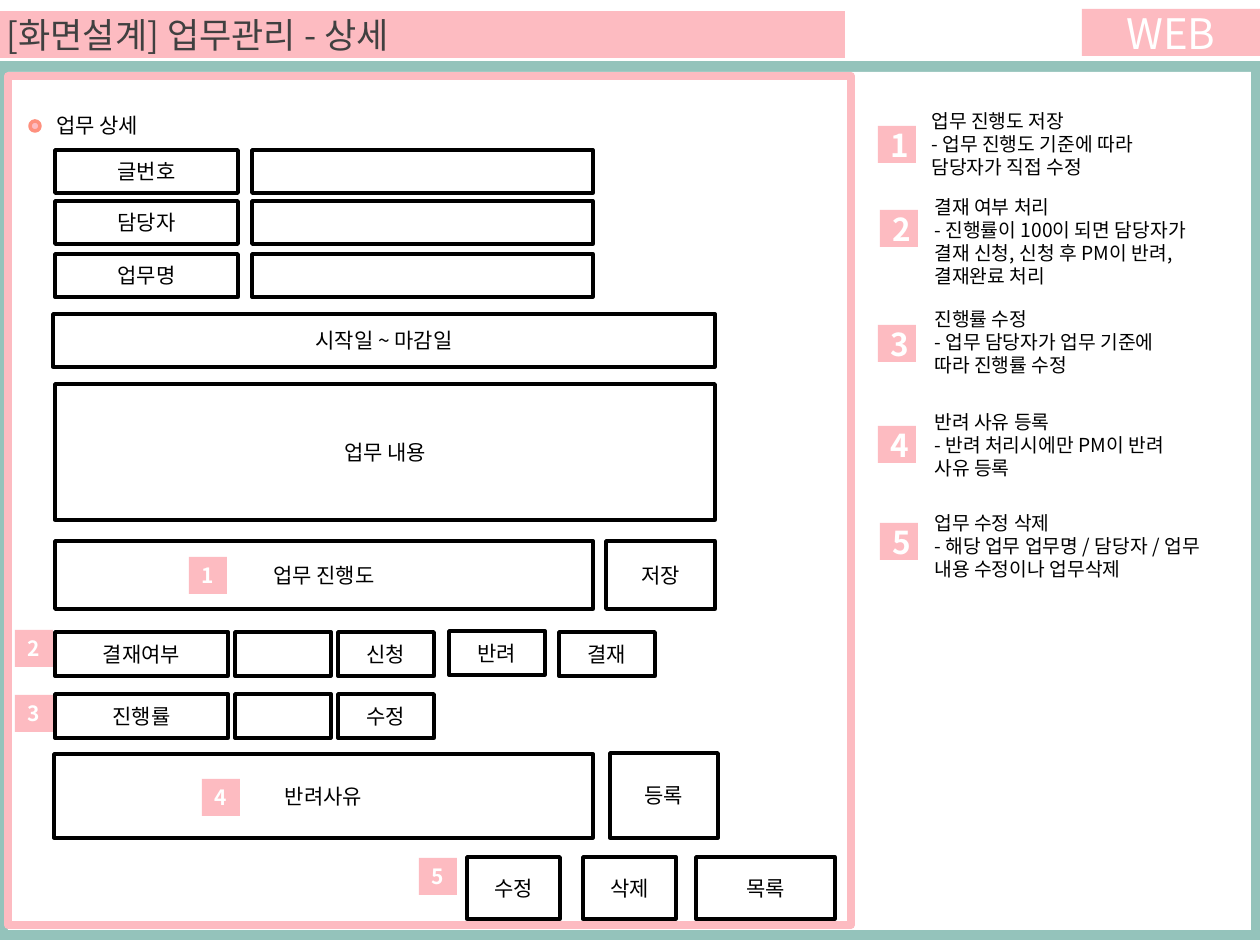
import pptx
import pptx.util
import pptx.dml.color
import pptx.enum.shapes
import pptx.enum.text
import lxml.etree

PX = 914400 // 126
FONT = "Noto Sans CJK KR"
C = {"pink": "FDBBC1", "teal": "94C3BB", "coral": "FE907E",
     "white": "FFFFFF", "black": "000000", "gray": "404040"}
SHAPE = pptx.enum.shapes.MSO_SHAPE
ALIGN = pptx.enum.text.PP_ALIGN
ANCHOR = pptx.enum.text.MSO_ANCHOR

prs = pptx.Presentation()
prs.slide_width = pptx.util.Inches(10)
prs.slide_height = pptx.util.Inches(7.5)
s = prs.slides.add_slide(prs.slide_layouts[5])


def write(sp, text, size=12, color="black", bold=False,
          align=ALIGN.CENTER, anchor=ANCHOR.MIDDLE):
    tf = sp.text_frame
    tf.word_wrap = True
    tf.auto_size = pptx.enum.text.MSO_AUTO_SIZE.NONE
    tf.vertical_anchor = anchor
    tf.text = text
    for p in tf.paragraphs:
        p.alignment = align
        for r in p.runs:
            r.font.name = FONT
            r.font.size = pptx.util.Pt(size)
            r.font.bold = bold
            r.font.color.rgb = pptx.dml.color.RGBColor.from_string(C[color])
            ea = r._r.get_or_add_rPr().makeelement(pptx.oxml.ns.qn("a:ea"), {"typeface": FONT})
            r.font._element.find(pptx.oxml.ns.qn("a:latin")).addnext(ea)


def box(x, y, w, h, fill=None, line=None, weight=2, kind=SHAPE.RECTANGLE):
    sp = s.shapes.add_shape(kind, x * PX, y * PX, w * PX, h * PX)
    sp.shadow.inherit = False
    if fill:
        sp.fill.solid()
        sp.fill.fore_color.rgb = pptx.dml.color.RGBColor.from_string(C[fill])
    else:
        sp.fill.background()
    if line:
        sp.line.color.rgb = pptx.dml.color.RGBColor.from_string(C[line])
        sp.line.width = pptx.util.Pt(weight)
    else:
        sp.line.fill.background()
    return sp


# Title bar
title = s.shapes.title
title.left, title.top, title.width, title.height = [v * PX for v in (-6, 11, 851, 47)]
title.fill.solid()
title.fill.fore_color.rgb = pptx.dml.color.RGBColor.from_string(C["pink"])
write(title, "[화면설계] 업무관리 - 상세", size=20, color="gray", align=ALIGN.LEFT)
write(box(1082, 9, 178, 47, "pink"), "WEB", size=24, color="white")

# Page frame
box(0, 61, 1260, 879, "teal")
box(8, 72, 1243, 858, "white")
box(8, 76, 843, 849, line="pink", weight=4.5)

# Section heading
box(30, 121, 10, 10, "pink", "coral", kind=SHAPE.OVAL)
heading = s.shapes.add_textbox(44 * PX, 106 * PX, 486 * PX, 38 * PX)
write(heading, "업무 상세", align=ALIGN.LEFT, anchor=ANCHOR.TOP)

# Form fields: label cell and empty value cell
fields = [(x, y, w, 43, text)
          for y, label in ((150, "글번호"), (201, "담당자"), (254, "업무명"))
          for x, w, text in ((55, 183, label), (252, 341, ""))]

# Remaining form cells
fields += [
    (53, 314, 662, 53, "시작일 ~ 마감일"),
    (55, 384, 660, 136, "업무 내용"),
    (55, 541, 538, 68, "업무 진행도"),
    (606, 541, 109, 68, "저장"),
    (55, 632, 173, 44, "결재여부"),
    (235, 632, 96, 44, ""),
    (338, 632, 96, 44, "신청"),
    (449, 631, 96, 44, "반려"),
    (559, 632, 96, 44, "결재"),
    (55, 694, 173, 44, "진행률"),
    (235, 694, 96, 44, ""),
    (338, 694, 96, 44, "수정"),
    (54, 754, 539, 84, "반려사유"),
    (610, 753, 108, 85, "등록"),
    (467, 857, 93, 62, "수정"),
    (583, 857, 93, 62, "삭제"),
    (696, 857, 139, 62, "목록"),
]
for x, y, w, h, text in fields:
    cell = box(x, y, w, h, "white", "black")
    if text:
        write(cell, text)

# Number markers on the form
markers = [(189, 557), (15, 630), (15, 695), (202, 779), (419, 858)]
for n, (x, y) in enumerate(markers, 1):
    write(box(x, y, 38, 37, "pink"), str(n), color="white", bold=True)

# Numbered descriptions: marker x, y, then text x, y, width, height
notes = [
    (878, 126, 919, 103, 277, 83, "업무 진행도 저장\n- 업무 진행도 기준에 따라 담당자가 직접 수정"),
    (880, 210, 922, 189, 310, 106,
     "결재 여부 처리\n- 진행률이 100이 되면 담당자가 결재 신청, 신청 후 PM이 반려, 결재완료 처리"),
    (878, 325, 922, 301, 277, 83, "진행률 수정\n- 업무 담당자가 업무 기준에 따라 진행률 수정"),
    (878, 426, 922, 404, 294, 83, "반려 사유 등록\n- 반려 처리시에만 PM이 반려 사유 등록"),
    (880, 523, 922, 505, 294, 106,
     "업무 수정 삭제\n- 해당 업무 업무명 / 담당자 / 업무 내용 수정이나 업무삭제"),
]
for n, (mx, my, x, y, w, h, text) in enumerate(notes, 1):
    write(box(mx, my, 38, 37, "pink"), str(n), size=18, color="white", bold=True)
    note = s.shapes.add_textbox(x * PX, y * PX, w * PX, h * PX)
    write(note, text, size=11, align=ALIGN.LEFT, anchor=ANCHOR.TOP)

prs.save("out.pptx")
